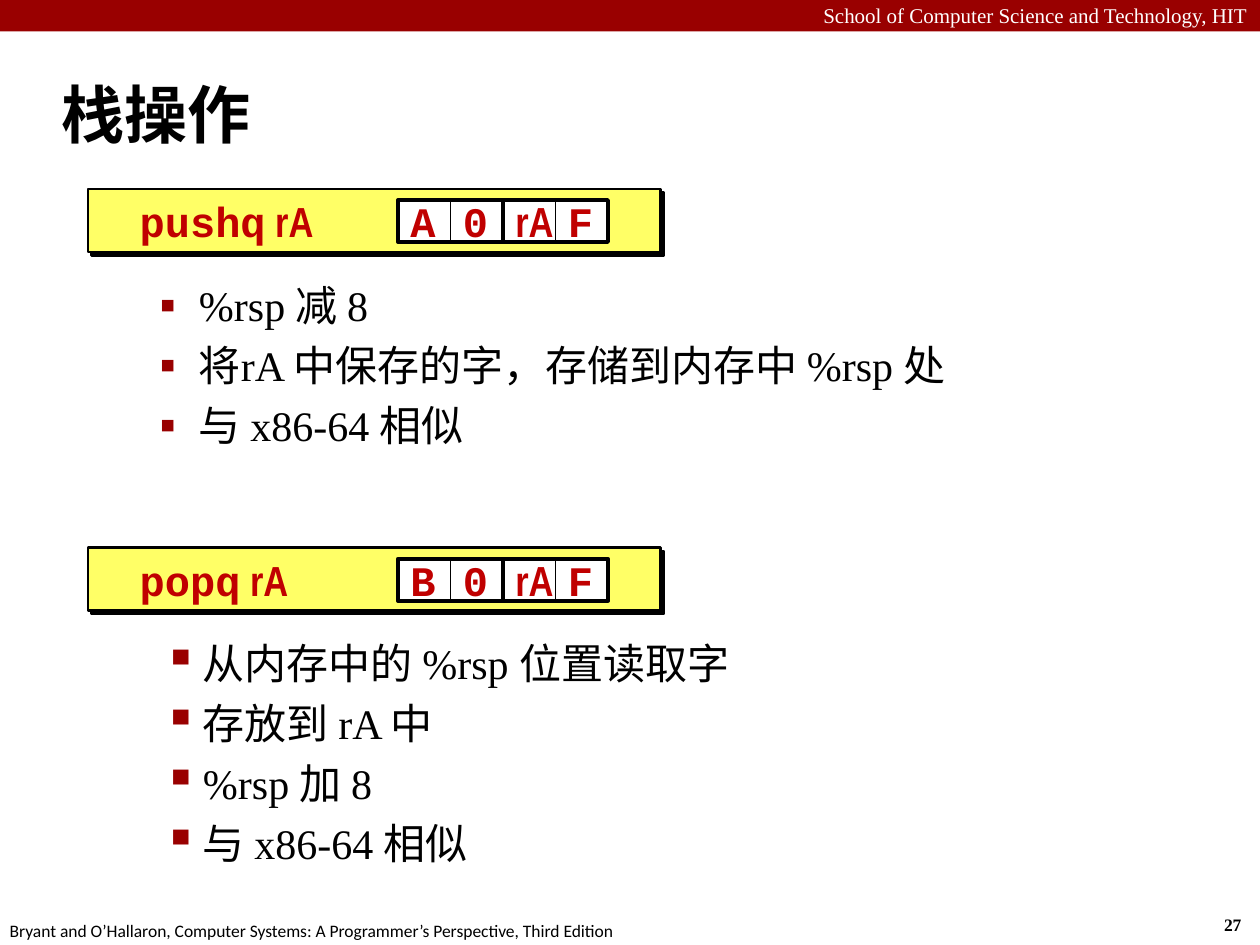
from lxml.etree import SubElement
from pptx import Presentation
from pptx.dml.color import RGBColor
from pptx.enum.shapes import MSO_SHAPE
from pptx.enum.text import MSO_ANCHOR, MSO_AUTO_SIZE, PP_ALIGN
from pptx.oxml.ns import qn
from pptx.util import Pt

COLORS = {
    "black": "000000",
    "white": "FFFFFF",
    "banner": "990000",
    "code": "C00000",
    "yellow": "FFFF66",
}
SERIF, SANS, MONO, NARROW = "Times New Roman", "Calibri", "Courier New", "Arial Narrow"
SLIDE_WIDTH, SLIDE_HEIGHT = 720, 540
CELL_WIDTH, CELL_HEIGHT = 30, 24


def color(name):
    return RGBColor.from_string(COLORS[name])


class SlideBuilder:
    def __init__(self, slide):
        self.slide = slide

    def style_font(self, font, name, size, color_name, bold=False):
        font.name, font.size, font.bold = name, Pt(size), bold
        font.color.rgb = color(color_name)

    def place(self, shape, left, top, width, height):
        shape.left, shape.top = Pt(left), Pt(top)
        shape.width, shape.height = Pt(width), Pt(height)

    def rectangle(self, parent, box, fill=None, line=None):
        shape = parent.add_shape(MSO_SHAPE.RECTANGLE, *map(Pt, box))
        shape.shadow.inherit = False
        if fill:
            shape.fill.solid()
            shape.fill.fore_color.rgb = color(fill)
        else:
            shape.fill.background()
        if line:
            shape.line.color.rgb = color("black")
            shape.line.width = Pt(line)
        else:
            shape.line.fill.background()
        return shape

    def hard_shadow(self, shape):
        effects = shape._element.spPr.find(qn("a:effectLst"))
        shadow = SubElement(effects, qn("a:outerShdw"), dist=str(Pt(2.8)),
                            dir="2700000", algn="ctr", rotWithShape="0")
        SubElement(shadow, qn("a:srgbClr"), val=COLORS["black"])

    def text(self, box, text, name, size, color_name, bold=False,
             align=PP_ALIGN.LEFT, wrap=False):
        frame = self.slide.shapes.add_textbox(*map(Pt, box)).text_frame
        frame.word_wrap = wrap
        paragraph = frame.paragraphs[0]
        paragraph.text, paragraph.alignment = text, align
        self.style_font(paragraph.font, name, size, color_name, bold)

    def title(self, box, text):
        shape = self.slide.shapes.title
        self.place(shape, *box)
        frame = shape.text_frame
        frame.auto_size = MSO_AUTO_SIZE.NONE
        frame.vertical_anchor = MSO_ANCHOR.MIDDLE
        paragraph = frame.paragraphs[0]
        paragraph.text, paragraph.alignment = text, PP_ALIGN.LEFT
        self.style_font(paragraph.font, SANS, 36, "black", True)

    def bullets(self, shape, lines):
        frame = shape.text_frame
        frame.word_wrap = True
        frame.auto_size = MSO_AUTO_SIZE.NONE
        for index, line in enumerate(lines):
            paragraph = frame.paragraphs[0] if index == 0 else frame.add_paragraph()
            paragraph.text, paragraph.level = line, 1
            properties = paragraph._p.get_or_add_pPr()
            properties.set("marL", str(Pt(58.5)))
            properties.set("indent", str(Pt(-22.5)))
            bullet_color = SubElement(properties, qn("a:buClr"))
            SubElement(bullet_color, qn("a:srgbClr"), val=COLORS["banner"])
            SubElement(properties, qn("a:buSzPct"), val="110000")
            SubElement(properties, qn("a:buChar"), char="▪")
            paragraph.space_before = Pt(5.5 if index else 0)
            self.style_font(paragraph.font, SERIF, 24, "black")

    def code_text(self, shape, pieces):
        frame = shape.text_frame
        frame.word_wrap = False
        frame.vertical_anchor = MSO_ANCHOR.MIDDLE
        paragraph = frame.paragraphs[0]
        paragraph.alignment = PP_ALIGN.LEFT
        for text, name in pieces:
            run = paragraph.add_run()
            run.text = text
            self.style_font(run.font, name, 24, "code", True)

    def instruction(self, top, mnemonic, opcode):
        group = self.slide.shapes.add_group_shape().shapes
        panel = self.rectangle(group, (50.4, top, 327, 36), "yellow", 1.5)
        self.hard_shadow(panel)
        cell_top = top + 6.3
        label = group.add_textbox(Pt(72.7), Pt(cell_top), Pt(187), Pt(CELL_HEIGHT))
        self.code_text(label, [(mnemonic, MONO), (" rA", NARROW)])

        # Each byte is two half-byte cells inside a heavy frame
        bytes_shown = [[(opcode, MONO), ("0", MONO)], [("rA", NARROW), ("F", MONO)]]
        for byte_index, halves in enumerate(bytes_shown):
            left = 227.4 + byte_index * 2 * CELL_WIDTH
            for half_index, piece in enumerate(halves):
                box = (left + half_index * CELL_WIDTH, cell_top, CELL_WIDTH, CELL_HEIGHT)
                cell = self.rectangle(group, box, "white", 0.5)
                self.code_text(cell, [piece])
            self.rectangle(group, (left, cell_top, 2 * CELL_WIDTH, CELL_HEIGHT), line=2.25)


def main():
    presentation = Presentation()
    presentation.slide_width, presentation.slide_height = Pt(SLIDE_WIDTH), Pt(SLIDE_HEIGHT)
    slide = presentation.slides.add_slide(presentation.slide_layouts[1])
    builder = SlideBuilder(slide)

    # Banner and footer
    builder.rectangle(slide.shapes, (0, 0, SLIDE_WIDTH, 18), "banner")
    builder.text((0, -2, SLIDE_WIDTH, 21.6), "School of Computer Science and Technology, HIT",
                 SERIF, 12, "white", align=PP_ALIGN.RIGHT, wrap=True)
    builder.text((692.4, 519, 26.6, 19.4), "27", SERIF, 10, "black", bold=True)
    builder.text((-1.5, 522, 366, 19.4),
                 "Bryant and O’Hallaron, Computer Systems: A Programmer’s Perspective, Third Edition",
                 SANS, 10, "black")

    builder.title((28, 34.5, 692, 60), "栈操作")

    # Push instruction
    builder.instruction(108, "pushq", "A")
    push_list = slide.placeholders[1]
    builder.place(push_list, 48, 156, 607, 122.4)
    builder.bullets(push_list, ["%rsp 减 8", "将rA 中保存的字，存储到内存中 %rsp 处", "与 x86-64 相似"])

    # Pop instruction
    builder.instruction(313, "popq", "B")
    pop_list = slide.shapes.add_textbox(Pt(50.4), Pt(360.7), Pt(607), Pt(153.4))
    builder.bullets(pop_list, ["从内存中的 %rsp 位置读取字", "存放到 rA 中", "%rsp 加 8", "与 x86-64 相似"])

    presentation.save("out.pptx")


if __name__ == "__main__":
    main()
